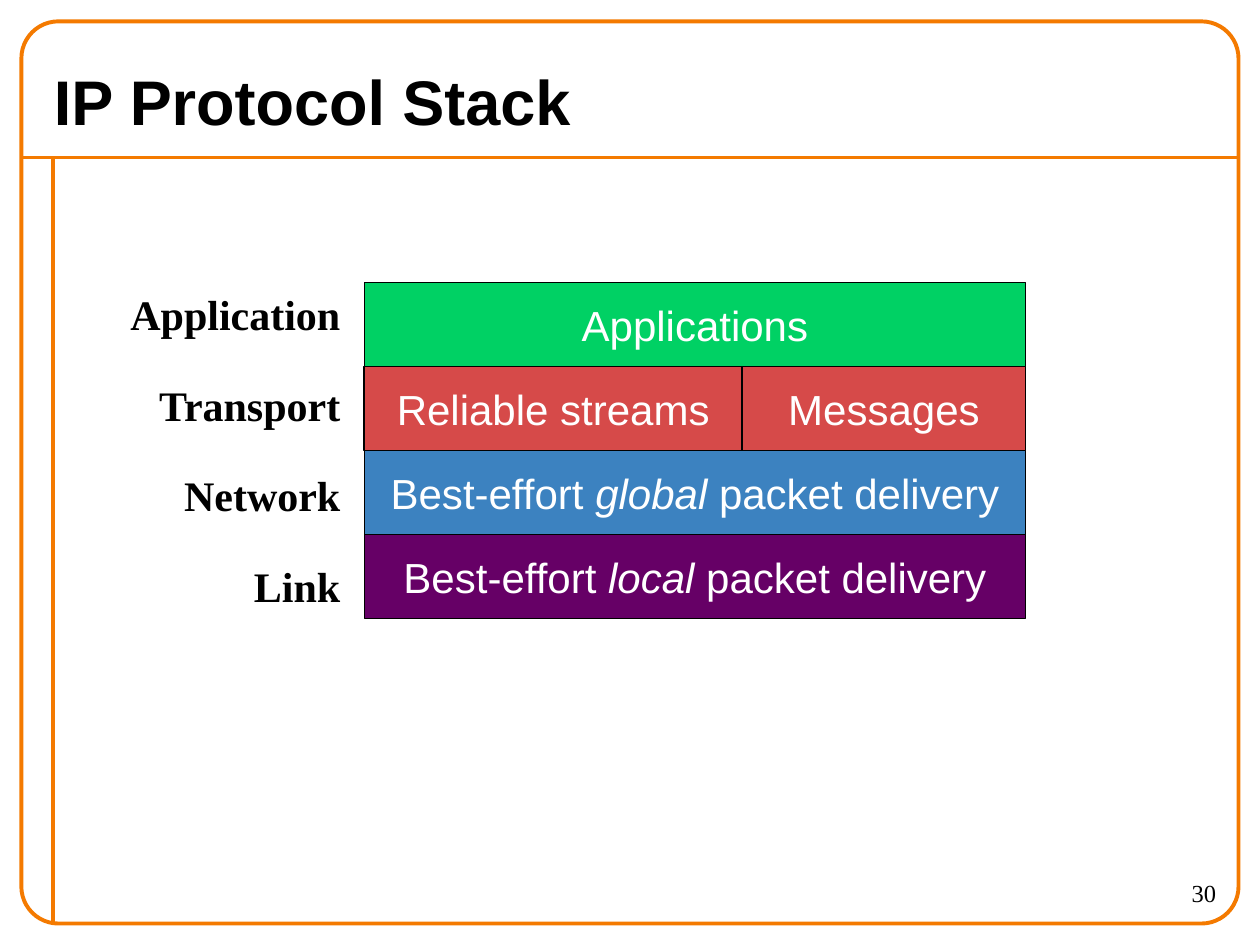
from lxml import etree
from pptx import Presentation
from pptx.dml.color import RGBColor
from pptx.enum.shapes import MSO_CONNECTOR, MSO_SHAPE
from pptx.enum.text import MSO_ANCHOR, PP_ALIGN
from pptx.oxml.ns import qn
from pptx.util import Inches, Pt

RECTANGLE, ROUNDED = MSO_SHAPE.RECTANGLE, MSO_SHAPE.ROUNDED_RECTANGLE
STRAIGHT = MSO_CONNECTOR.STRAIGHT
TOP, MIDDLE = MSO_ANCHOR.TOP, MSO_ANCHOR.MIDDLE
LEFT, CENTER, RIGHT = PP_ALIGN.LEFT, PP_ALIGN.CENTER, PP_ALIGN.RIGHT

SANS, SERIF = "Arial", "Times New Roman"
ORANGE, BLACK, WHITE = "F47A00", "000000", "FFFFFF"
GREEN, RED, BLUE, PURPLE = "00D164", "D64A49", "3C82C0", "660066"

SLIDE_WIDTH, SLIDE_HEIGHT = 10, 7.5
MARGIN = 0.17
RULE_Y, RULE_X = 1.25, 0.42
STACK_LEFT, STACK_TOP = 2.89, 2.24
COLUMN, ROW = 0.75, 2 / 3
LABEL_LEFT, LABEL_WIDTH, LABEL_HEIGHT, LABEL_PITCH = 0.8, 2, 0.51, 0.72

LAYER_NAMES = ["Application", "Transport", "Network", "Link"]
BLOCKS = [
    (0, 0, 7, GREEN, [("Applications", False)]),
    (1, 0, 4, RED, [("Reliable streams", False)]),
    (1, 4, 3, RED, [("Messages", False)]),
    (2, 0, 7, BLUE, [("Best-effort ", False), ("global ", True), ("packet delivery", False)]),
    (3, 0, 7, PURPLE, [("Best-effort ", False), ("local ", True), ("packet delivery", False)]),
]


def color(hex_value):
    """Turn a hex string into a colour."""
    return RGBColor.from_string(hex_value)


def box(left, top, width, height):
    """Convert a box in inches to slide lengths."""
    return [Inches(length) for length in (left, top, width, height)]


def write(frame, runs, size, font, ink=BLACK, bold=False, align=LEFT, anchor=TOP, wrap=True):
    """Fill a text frame with one paragraph of (text, italic) runs."""
    frame.word_wrap = wrap
    frame.vertical_anchor = anchor
    paragraph = frame.paragraphs[0]
    paragraph.alignment = align
    for text, italic in runs:
        run = paragraph.add_run()
        run.text = text
        run.font.size = Pt(size)
        run.font.name = font
        run.font.bold = bold
        run.font.italic = italic
        run.font.color.rgb = color(ink)


def add_text(slide, area, text, size, font, **style):
    """Add a text box holding a single run."""
    label = slide.shapes.add_textbox(*box(*area))
    write(label.text_frame, [(text, False)], size, font, **style)


def add_rule(slide, start, end):
    """Add a straight orange rule between two points."""
    rule = slide.shapes.add_connector(STRAIGHT, *box(*start, *end))
    rule.line.color.rgb = color(ORANGE)
    rule.line.width = Pt(2.25)
    etree.SubElement(rule._element.spPr, qn("a:effectLst"))


def add_border(slide):
    """Add the rounded border and the two rules inside it."""
    right, bottom = SLIDE_WIDTH - MARGIN, SLIDE_HEIGHT - MARGIN
    add_rule(slide, (MARGIN, RULE_Y), (right, RULE_Y))
    add_rule(slide, (RULE_X, RULE_Y), (RULE_X, bottom))
    area = box(MARGIN, MARGIN, right - MARGIN, bottom - MARGIN)
    border = slide.shapes.add_shape(ROUNDED, *area)
    border.adjustments[0] = 0.041
    border.shadow.inherit = False
    border.fill.background()
    border.line.color.rgb = color(ORANGE)
    border.line.width = Pt(2.25)


def add_block(slide, row, column, span, fill, runs):
    """Add one protocol block on the stack grid."""
    area = box(STACK_LEFT + column * COLUMN, STACK_TOP + row * ROW, span * COLUMN, ROW)
    block = slide.shapes.add_shape(RECTANGLE, *area)
    block.shadow.inherit = False
    block.fill.solid()
    block.fill.fore_color.rgb = color(fill)
    block.line.color.rgb = color(BLACK)
    block.line.width = Pt(0.75)
    write(block.text_frame, runs, 24, SANS, ink=WHITE, align=CENTER, anchor=MIDDLE, wrap=False)


def main():
    """Build the protocol stack slide."""
    deck = Presentation()
    deck.slide_width, deck.slide_height = Inches(SLIDE_WIDTH), Inches(SLIDE_HEIGHT)
    slide = deck.slides.add_slide(deck.slide_layouts[6])
    add_border(slide)
    add_text(slide, (0.33, 0.42, 8.82, 0.75), "IP Protocol Stack", 36, SANS, bold=True, anchor=MIDDLE)
    add_text(slide, (8.75, 6.92, 1, 0.42), "30", 14, SERIF, align=RIGHT)
    for block in BLOCKS:
        add_block(slide, *block)
    for index, name in enumerate(LAYER_NAMES):
        area = (LABEL_LEFT, STACK_TOP + index * LABEL_PITCH, LABEL_WIDTH, LABEL_HEIGHT)
        add_text(slide, area, name, 24, SERIF, bold=True, align=RIGHT)
    deck.save("out.pptx")


if __name__ == "__main__":
    main()
